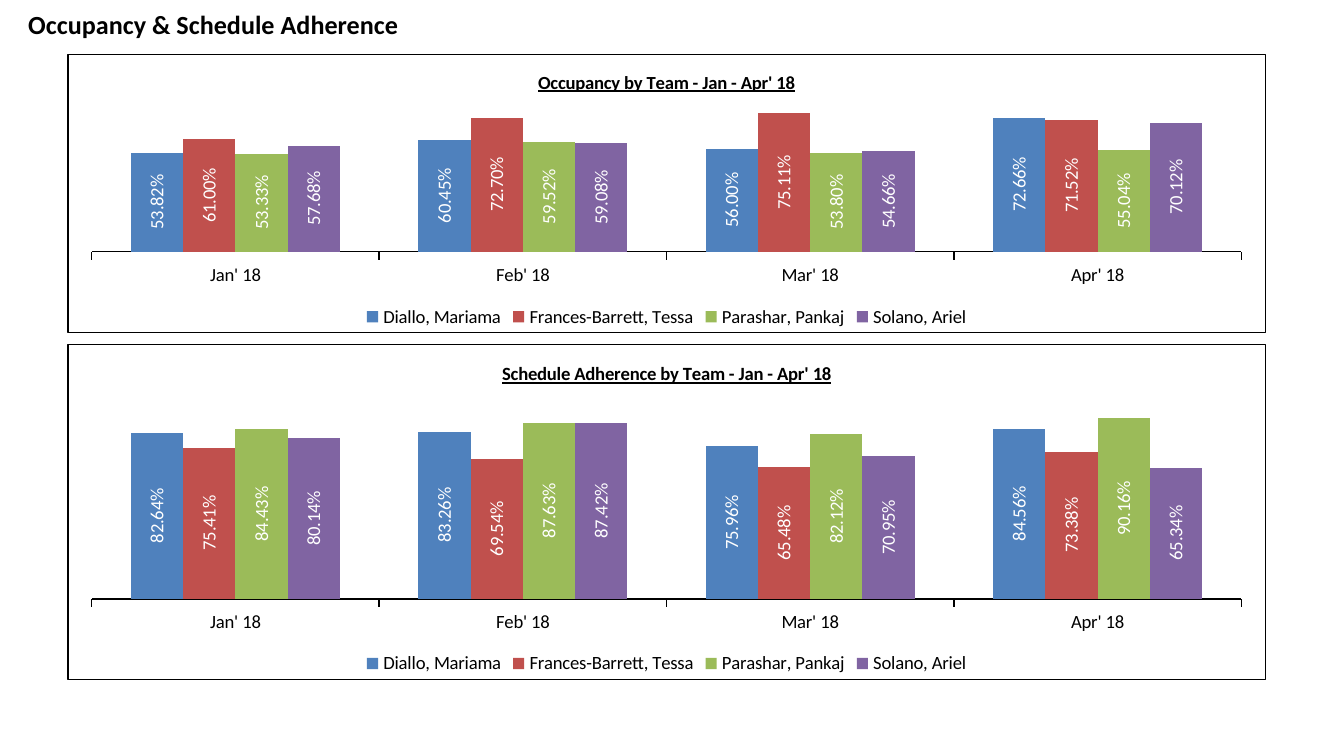
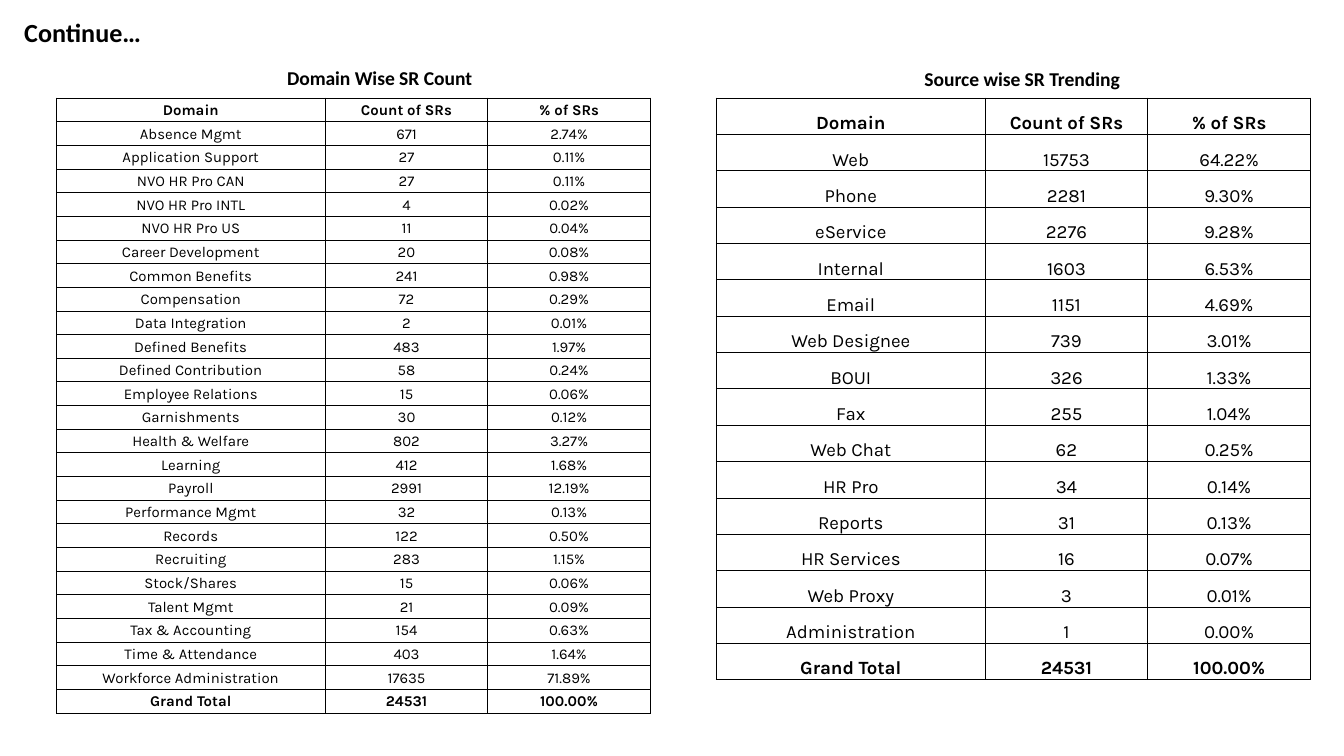
import lxml.etree
import pptx
import pptx.chart.data
import pptx.dml.color
import pptx.enum.chart
import pptx.enum.text
import pptx.oxml
import pptx.oxml.ns
import pptx.util

Inches = pptx.util.Inches
Pt = pptx.util.Pt
qn = pptx.oxml.ns.qn
ALIGN = pptx.enum.text.PP_ALIGN
ANCHOR = pptx.enum.text.MSO_ANCHOR

MONTHS = ["Jan' 18", "Feb' 18", "Mar' 18", "Apr' 18"]
AGENTS = ["Diallo, Mariama", "Frances-Barrett, Tessa", "Parashar, Pankaj", "Solano, Ariel"]
OCCUPANCY = [
    (0.5382, 0.6045, 0.56, 0.7266),
    (0.61, 0.727, 0.7511, 0.7152),
    (0.5333, 0.5952, 0.538, 0.5504),
    (0.5768, 0.5908, 0.5466, 0.7012),
]
ADHERENCE = [
    (0.8264, 0.8326, 0.7596, 0.8456),
    (0.7541, 0.6954, 0.6548, 0.7338),
    (0.8443, 0.8763, 0.8212, 0.9016),
    (0.8014, 0.8742, 0.7095, 0.6534),
]
HEADINGS = ("Domain", "Count of SRs", "% of SRs")
GRAND_TOTAL = ("Grand Total", "24531", "100.00%")
DOMAINS = [
    ("Absence Mgmt", "671", "2.74%"),
    ("Application Support", "27", "0.11%"),
    ("NVO HR Pro CAN", "27", "0.11%"),
    ("NVO HR Pro INTL", "4", "0.02%"),
    ("NVO HR Pro US", "11", "0.04%"),
    ("Career Development", "20", "0.08%"),
    ("Common Benefits", "241", "0.98%"),
    ("Compensation", "72", "0.29%"),
    ("Data Integration", "2", "0.01%"),
    ("Defined Benefits", "483", "1.97%"),
    ("Defined Contribution", "58", "0.24%"),
    ("Employee Relations", "15", "0.06%"),
    ("Garnishments", "30", "0.12%"),
    ("Health & Welfare", "802", "3.27%"),
    ("Learning", "412", "1.68%"),
    ("Payroll", "2991", "12.19%"),
    ("Performance Mgmt", "32", "0.13%"),
    ("Records", "122", "0.50%"),
    ("Recruiting", "283", "1.15%"),
    ("Stock/Shares", "15", "0.06%"),
    ("Talent Mgmt", "21", "0.09%"),
    ("Tax & Accounting", "154", "0.63%"),
    ("Time & Attendance", "403", "1.64%"),
    ("Workforce Administration", "17635", "71.89%"),
]
SOURCES = [
    ("Web", "15753", "64.22%"),
    ("Phone", "2281", "9.30%"),
    ("eService", "2276", "9.28%"),
    ("Internal", "1603", "6.53%"),
    ("Email", "1151", "4.69%"),
    ("Web Designee", "739", "3.01%"),
    ("BOUI", "326", "1.33%"),
    ("Fax", "255", "1.04%"),
    ("Web Chat", "62", "0.25%"),
    ("HR Pro", "34", "0.14%"),
    ("Reports", "31", "0.13%"),
    ("HR Services", "16", "0.07%"),
    ("Web Proxy", "3", "0.01%"),
    ("Administration", "1", "0.00%"),
]


def rgb(hex_color):
    return pptx.dml.color.RGBColor.from_string(hex_color)


def set_values(target, values):
    for name, value in values.items():
        setattr(target, name, value)


def line_xml(tag, points, color):
    return pptx.oxml.parse_xml(
        f'<a:{tag} {pptx.oxml.ns.nsdecls("a")} w="{Pt(points)}">'
        f'<a:solidFill><a:srgbClr val="{color}"/></a:solidFill></a:{tag}>')


class Report:
    """Holds the style and the slide being filled."""

    INK, PAPER = "000000", "FFFFFF"
    SERIES = ("4F81BD", "C0504D", "9BBB59", "8064A2")
    TEXT_FONT, TABLE_FONT = "Calibri", "Karla"
    PERCENT = "0.00%"

    def __init__(self):
        self.deck = pptx.Presentation()
        set_values(self.deck, {"slide_width": Inches(10), "slide_height": Inches(10 * 9 / 16)})
        self.slide = None

    def style(self, font, size, color=INK, name=TEXT_FONT, **extra):
        set_values(font, {"size": Pt(size), "name": name, **extra})
        font.color.rgb = rgb(color)

    def start_slide(self, title, box, inset=None, spacing=None):
        self.slide = self.deck.slides.add_slide(self.deck.slide_layouts[5])
        heading = self.slide.shapes.title
        set_values(heading, dict(zip(("left", "top", "width", "height"), map(Inches, box))))
        frame = heading.text_frame
        frame.text = title
        set_values(frame, {"vertical_anchor": ANCHOR.TOP, "word_wrap": True,
                           "auto_size": pptx.enum.text.MSO_AUTO_SIZE.NONE})
        if inset is not None:
            for side in ("left", "top", "right", "bottom"):
                setattr(frame, f"margin_{side}", Inches(inset))
        paragraph = frame.paragraphs[0]
        set_values(paragraph, {"alignment": ALIGN.LEFT, "line_spacing": spacing})
        self.style(paragraph.runs[0].font, 14, bold=True)

    def caption(self, text, box, align=ALIGN.LEFT, wrap=True):
        frame = self.slide.shapes.add_textbox(*map(Inches, box)).text_frame
        frame.text = text
        set_values(frame, {"word_wrap": wrap,
                           "auto_size": pptx.enum.text.MSO_AUTO_SIZE.SHAPE_TO_FIT_TEXT})
        frame.paragraphs[0].alignment = align
        self.style(frame.paragraphs[0].runs[0].font, 10.5, bold=True)

    def column_chart(self, title, rows, top, height, maximum, plot_top, plot_height):
        data = pptx.chart.data.CategoryChartData(number_format=self.PERCENT)
        data.categories = MONTHS
        for agent, values in zip(AGENTS, rows):
            data.add_series(agent, values)
        chart = self.slide.shapes.add_chart(
            pptx.enum.chart.XL_CHART_TYPE.COLUMN_CLUSTERED,
            Inches(0.5), Inches(top), Inches(8.92), Inches(height), data).chart
        self.style(chart.font, 10)
        chart.has_title = True
        heading = chart.chart_title.text_frame
        heading.text = title
        self.style(heading.paragraphs[0].runs[0].font, 10, bold=True, underline=True)
        chart.has_legend = True
        set_values(chart.legend, {"position": pptx.enum.chart.XL_LEGEND_POSITION.BOTTOM,
                                  "include_in_layout": False})
        self.style(chart.legend.font, 10)
        set_values(chart.value_axis, {"visible": False, "has_major_gridlines": False,
                                      "minimum_scale": 0, "maximum_scale": maximum})
        set_values(chart.value_axis.tick_labels, {"number_format": self.PERCENT,
                                                  "number_format_is_linked": False})
        months = chart.category_axis
        months.major_tick_mark = pptx.enum.chart.XL_TICK_MARK.OUTSIDE
        months.format.line.width = Pt(0.75)
        months.format.line.color.rgb = rgb(self.INK)
        self.style(months.tick_labels.font, 10)
        plot = chart.plots[0]
        set_values(plot, {"gap_width": 150, "overlap": 0, "vary_by_categories": False})
        for series, color in zip(plot.series, self.SERIES):
            series.format.fill.solid()
            series.format.fill.fore_color.rgb = rgb(color)
            self.label_upright(series.data_labels)
        self.place_plot(chart, plot_top, plot_height)
        self.frame_chart(chart)

    def label_upright(self, labels):
        """Show white values that read from bottom to top."""
        set_values(labels, {"show_value": True, "number_format": self.PERCENT,
                            "number_format_is_linked": False,
                            "position": pptx.enum.chart.XL_LABEL_POSITION.CENTER})
        self.style(labels.font, 10, self.PAPER)
        body = labels._element.find(f".//{qn('a:bodyPr')}")
        body.set("rot", "-5400000")
        body.set("vert", "horz")

    def place_plot(self, chart, top, height):
        """Fix the inner plot area, in shares of the chart."""
        area = chart._chartSpace.find(f".//{qn('c:plotArea')}")
        for old in area.findall(qn("c:layout")):
            area.remove(old)
        layout = lxml.etree.Element(qn("c:layout"))
        manual = lxml.etree.SubElement(layout, qn("c:manualLayout"))
        for tag, value in (("layoutTarget", "inner"), ("xMode", "edge"), ("yMode", "edge"),
                           ("x", 0.02), ("y", top), ("w", 0.96), ("h", height)):
            lxml.etree.SubElement(manual, qn(f"c:{tag}")).set("val", str(value))
        area.insert(0, layout)

    def frame_chart(self, chart):
        border = lxml.etree.Element(qn("c:spPr"))
        lxml.etree.SubElement(border, qn("a:noFill"))
        border.append(line_xml("ln", 0.75, self.INK))
        chart._chartSpace.find(qn("c:txPr")).addprevious(border)

    def count_table(self, body, left, height, size, anchor):
        rows = [HEADINGS, *body, GRAND_TOTAL]
        widths = (2, 1.21, 1.21)
        table = self.slide.shapes.add_table(
            len(rows), len(widths), Inches(left), Inches(0.73),
            Inches(sum(widths)), Inches(height)).table
        set_values(table, {"first_row": False, "horz_banding": False})
        for column, width in zip(table.columns, widths):
            column.width = Inches(width)
        for row, texts in zip(table.rows, rows):
            row.height = Inches(height / len(rows))
            for cell, text in zip(row.cells, texts):
                self.fill_cell(cell, text, size, anchor, texts in (HEADINGS, GRAND_TOTAL))

    def fill_cell(self, cell, text, size, anchor, bold):
        cell.text = text
        set_values(cell, {"vertical_anchor": anchor, "margin_left": Inches(0.01),
                          "margin_right": Inches(0.01), "margin_top": Inches(0.01),
                          "margin_bottom": 0})
        paragraph = cell.text_frame.paragraphs[0]
        paragraph.alignment = ALIGN.CENTER
        self.style(paragraph.runs[0].font, size, name=self.TABLE_FONT, bold=bold)
        cell.fill.background()
        properties = cell._tc.get_or_add_tcPr()
        for place, tag in enumerate(("lnL", "lnR", "lnT", "lnB")):
            properties.insert(place, line_xml(tag, 0.5, self.INK))


def main():
    report = Report()

    report.start_slide("Occupancy & Schedule Adherence", (0.11, 0.01, 4.44, 0.34))
    report.column_chart("Schedule Adherence by Team - Jan - Apr' 18", ADHERENCE,
                        top=2.56, height=2.5, maximum=1, plot_top=0.16, plot_height=0.6)
    report.column_chart("Occupancy by Team - Jan - Apr' 18", OCCUPANCY,
                        top=0.4, height=2.08, maximum=0.8, plot_top=0.18, plot_height=0.53)

    report.start_slide("Continue…", (0.18, -0.09, 9, 0.49), inset=0, spacing=Pt(32))
    report.count_table(SOURCES, left=5.33, height=4.33, size=10, anchor=ANCHOR.BOTTOM)
    report.count_table(DOMAINS, left=0.42, height=4.58, size=8, anchor=ANCHOR.MIDDLE)
    report.caption("Domain Wise SR Count", (1.49, 0.44, 2.67, 0.28), align=ALIGN.CENTER)
    report.caption("Source wise SR Trending", (6.78, 0.45, 1.89, 0.28), wrap=False)

    report.deck.save("out.pptx")


if __name__ == "__main__":
    main()
